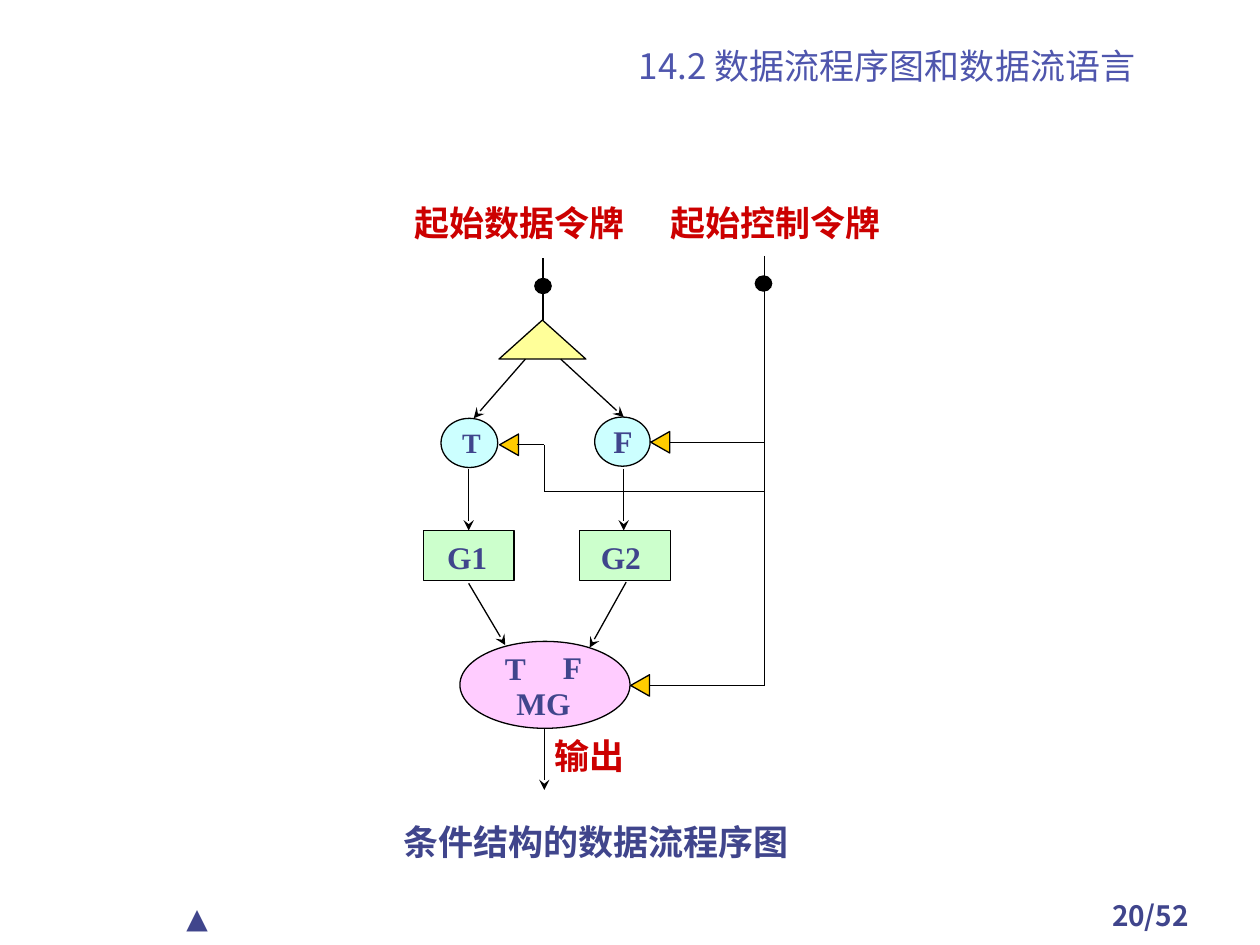
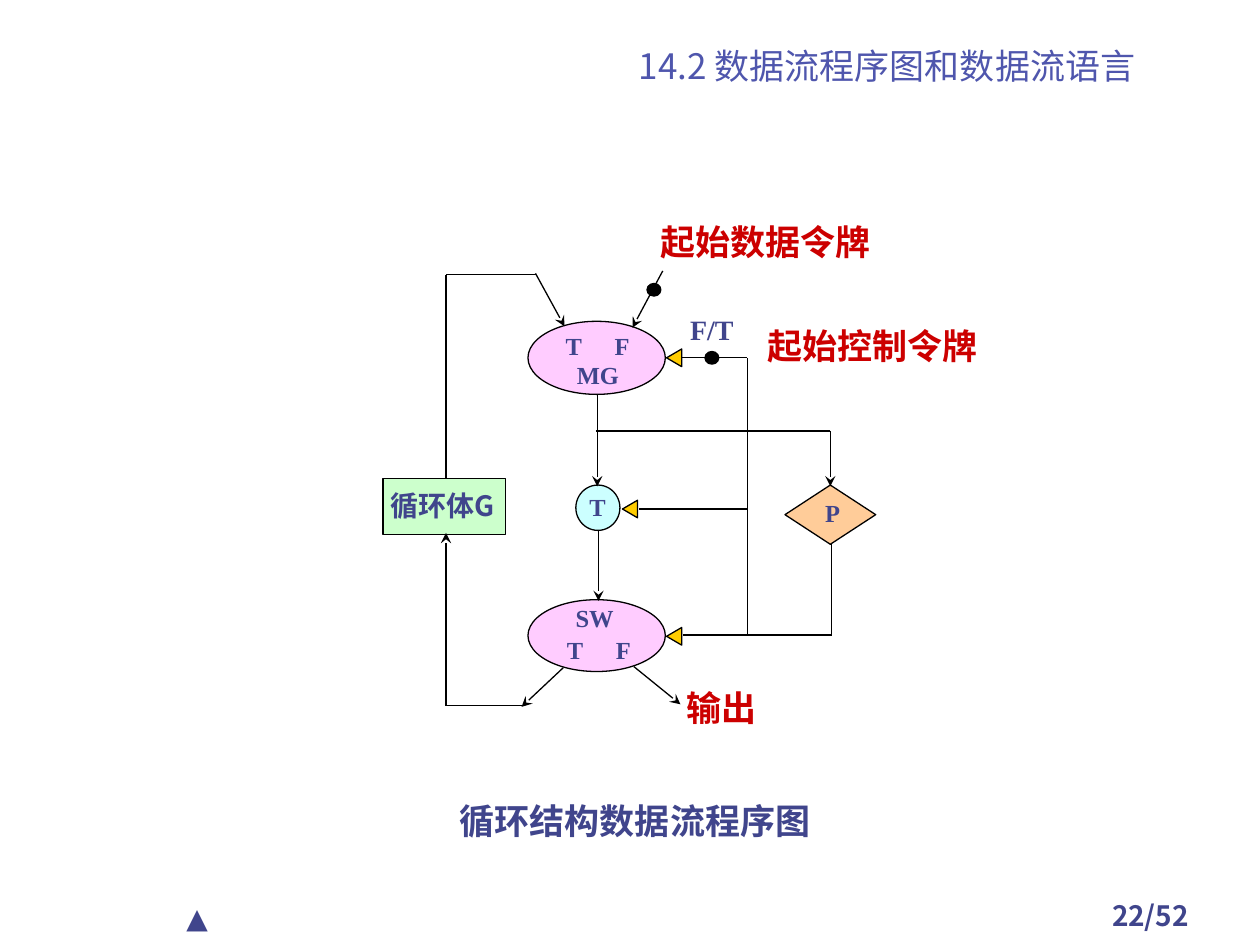
"""Builds two slides of data-flow program graphs."""
from dataclasses import dataclass
from itertools import pairwise

from lxml import etree
from pptx import Presentation
from pptx import util as u
from pptx.dml.color import RGBColor
from pptx.enum import shapes, text
from pptx.oxml import ns

INK, TITLE_INK, RED, BLACK = "40458C", "4F56AD", "CC0000", "000000"
CYAN, GREEN, PINK, ORANGE = "CCFFFF", "CCFFCC", "FFCCFF", "FFCC99"
PALE_YELLOW, GOLD = "FFFF99", "FFCC00"
SERIF, SANS, CABIN = "Times New Roman", "Noto Sans CJK SC", "Cabin"
TITLE = "14.2 数据流程序图和数据流语言"
PAGE_COUNT = 52
PRESET = shapes.MSO_SHAPE
CENTER = text.PP_ALIGN.CENTER

Point = tuple[float, float]


@dataclass(frozen=True)
class Node:
    kind: int
    left: float
    top: float
    width: float
    height: float
    fill: str
    rotation: float = 0


@dataclass(frozen=True)
class Wire:
    points: tuple[Point, ...]
    arrow: bool = False


@dataclass(frozen=True)
class Label:
    words: str
    left: float
    top: float
    width: float = 0.8
    height: float = 0.5
    size: float = 18
    color: str = INK
    font: str = SERIF
    bold: bool = True
    align: int = text.PP_ALIGN.LEFT


@dataclass(frozen=True)
class Diagram:
    number: int
    gate_size: Point
    dot_size: Point
    nodes: tuple[Node, ...]
    gates: tuple[Point, ...]
    dots: tuple[Point, ...]
    wires: tuple[Wire, ...]
    labels: tuple[Label, ...]


def wire(*points: Point) -> Wire:
    return Wire(points)


def arrow(*points: Point) -> Wire:
    return Wire(points, True)


def token(words: str, left: float, top: float) -> Label:
    return Label(words, left, top, width=2.1, size=20, color=RED)


def caption(words: str, left: float, top: float, width: float) -> Label:
    return Label(words, left, top, width, size=20, font=CABIN, align=CENTER)


CONDITIONAL = Diagram(
    number=20,
    gate_size=(0.17, 0.15),
    dot_size=(0.13, 0.12),
    nodes=(
        Node(PRESET.OVAL, 4.72, 3.31, 0.44, 0.39, CYAN),
        Node(PRESET.OVAL, 3.5, 3.32, 0.45, 0.39, CYAN),
        Node(PRESET.RECTANGLE, 3.36, 4.21, 0.72, 0.4, GREEN),
        Node(PRESET.RECTANGLE, 4.6, 4.21, 0.72, 0.4, GREEN),
        Node(PRESET.OVAL, 3.65, 5.09, 1.35, 0.69, PINK),
        Node(PRESET.ISOSCELES_TRIANGLE, 3.96, 2.54, 0.69, 0.31, PALE_YELLOW),
    ),
    gates=((4.04, 3.53), (5.24, 3.51), (5.08, 5.44)),
    dots=((4.31, 2.27), (6.06, 2.25)),
    wires=(
        wire((4.31, 2.05), (4.31, 2.54)),
        arrow((4.17, 2.85), (3.76, 3.32)),
        arrow((4.45, 2.85), (4.95, 3.31)),
        arrow((3.72, 3.72), (3.72, 4.21)),
        arrow((4.95, 3.72), (4.95, 4.21)),
        arrow((3.72, 4.63), (4.01, 5.12)),
        arrow((4.97, 4.62), (4.68, 5.14)),
        arrow((4.32, 5.78), (4.32, 6.27)),
        wire((6.07, 2.03), (6.07, 5.44), (5.16, 5.44)),
        wire((4.1, 3.53), (4.32, 3.53), (4.32, 3.9), (6.07, 3.9)),
        wire((5.32, 3.51), (6.07, 3.51)),
    ),
    labels=(
        token("起始数据令牌", 3.19, 1.55),
        token("起始控制令牌", 5.22, 1.55),
        token("输出", 4.3, 5.78),
        Label("T", 3.57, 3.33, size=16),
        Label("F", 4.77, 3.3),
        Label("G1", 3.45, 4.22),
        Label("G2", 4.67, 4.22),
        Label("T", 3.91, 5.1),
        Label("F", 4.37, 5.09),
        Label("MG", 4, 5.38),
        caption("条件结构的数据流程序图", 1.74, 6.46, 5.98),
    ),
)

LOOP = Diagram(
    number=22,
    gate_size=(0.14, 0.12),
    dot_size=(0.11, 0.1),
    nodes=(
        Node(PRESET.OVAL, 4.57, 3.85, 0.35, 0.36, CYAN),
        Node(PRESET.OVAL, 4.19, 4.76, 1.09, 0.57, PINK),
        Node(PRESET.OVAL, 4.19, 2.55, 1.09, 0.58, PINK),
        Node(PRESET.RECTANGLE, 3.04, 3.8, 0.97, 0.44, GREEN),
        Node(PRESET.DIAMOND, 6.23, 3.85, 0.72, 0.47, ORANGE),
    ),
    gates=((5, 4.04), (5.35, 2.84), (5.35, 5.05)),
    dots=((5.19, 2.3), (5.65, 2.84)),
    wires=(
        arrow((5.26, 2.15), (5.02, 2.6)),
        wire((3.54, 3.79), (3.54, 2.18), (4.25, 2.18)),
        arrow((4.25, 2.17), (4.48, 2.59)),
        arrow((4.74, 3.13), (4.74, 3.86)),
        arrow((4.75, 4.21), (4.75, 4.77)),
        arrow((4.47, 5.3), (4.14, 5.61)),
        arrow((5.03, 5.29), (5.4, 5.59)),
        wire((4.17, 5.6), (3.54, 5.6)),
        arrow((3.54, 5.6), (3.54, 4.23)),
        wire((4.73, 3.42), (6.59, 3.42)),
        arrow((6.59, 3.42), (6.59, 3.86)),
        wire((6.6, 4.31), (6.6, 5.04), (5.42, 5.04)),
        wire((5.41, 2.84), (5.93, 2.84), (5.93, 5.04)),
        wire((5.07, 4.04), (5.93, 4.04)),
    ),
    labels=(
        token("起始数据令牌", 5.14, 1.7),
        token("起始控制令牌", 5.99, 2.53),
        token("输出", 5.35, 5.4),
        Label("F/T", 5.38, 2.43, size=16),
        Label("循环体G", 3, 3.83, 1.2, size=16, font=SANS),
        Label("T", 4.39, 2.58, size=14),
        Label("F", 4.78, 2.58, size=14),
        Label("MG", 4.48, 2.81, size=14),
        Label("T", 4.58, 3.86, size=14),
        Label("P", 6.45, 3.9, size=14),
        Label("SW", 4.47, 4.74, size=14),
        Label("T", 4.4, 4.99, size=14),
        Label("F", 4.79, 4.99, size=14),
        caption("循环结构数据流程序图", 1.18, 6.3, 7.72),
    ),
)


def rgb(code: str) -> RGBColor:
    return RGBColor.from_string(code)


def assign(target, values: dict) -> None:
    for name, value in values.items():
        setattr(target, name, value)


def write(frame, label: Label) -> None:
    para = frame.paragraphs[0]
    para.alignment = label.align
    span = para.add_run()
    span.text = label.words
    assign(span.font, {"size": u.Pt(label.size), "bold": label.bold, "name": label.font})
    span.font.color.rgb = rgb(label.color)
    east_asian = etree.SubElement(span.font._element, ns.qn("a:ea"))
    east_asian.set("typeface", SANS)


def place_label(page, label: Label) -> None:
    box = page.shapes.add_textbox(
        *map(u.Inches, (label.left, label.top, label.width, label.height))
    )
    box.text_frame.word_wrap = True
    write(box.text_frame, label)


def place_node(page, node: Node) -> None:
    shape = page.shapes.add_shape(
        node.kind, *map(u.Inches, (node.left, node.top, node.width, node.height))
    )
    shape.rotation = node.rotation
    shape.shadow.inherit = False
    shape.fill.solid()
    shape.fill.fore_color.rgb = rgb(node.fill)
    shape.line.color.rgb = rgb(BLACK)
    shape.line.width = u.Pt(0.75)


def centered(kind: int, center: Point, size: Point, fill: str, rotation: float = 0) -> Node:
    (x, y), (width, height) = center, size
    return Node(kind, x - width / 2, y - height / 2, width, height, fill, rotation)


def place_wire(page, route: Wire) -> None:
    for start, end in pairwise(route.points):
        line = page.shapes.add_connector(
            shapes.MSO_CONNECTOR.STRAIGHT, *map(u.Inches, (*start, *end))
        )
        line.line.color.rgb = rgb(BLACK)
        line.line.width = u.Pt(0.75)
        properties = line._element.spPr
        if route.arrow:
            head = etree.SubElement(properties.find(ns.qn("a:ln")), ns.qn("a:tailEnd"))
            head.set("type", "stealth")
        etree.SubElement(properties, ns.qn("a:effectLst"))


def place_title(page) -> None:
    title = page.shapes.title
    place = {"left": 4.25, "top": 0.27, "width": 5.58, "height": 0.42}
    assign(title, {name: u.Inches(value) for name, value in place.items()})
    assign(title.text_frame, {
        "margin_left": 0, "margin_right": 0, "margin_top": 0, "margin_bottom": 0,
        "word_wrap": True, "auto_size": text.MSO_AUTO_SIZE.NONE,
        "vertical_anchor": text.MSO_ANCHOR.BOTTOM,
    })
    write(title.text_frame, Label(
        TITLE, **place, size=20, color=TITLE_INK, font=SANS, bold=False, align=CENTER
    ))


def place_footer(page, number: int) -> None:
    place_label(page, Label(
        f"{number}/{PAGE_COUNT}", 8.42, 7.08, 1.42, 0.33, 16, font=SANS, align=CENTER
    ))
    place_label(page, Label("▲", 1.38, 7.1, 1.42, 0.37, 16, font=CABIN, bold=False))


def build_page(deck, diagram: Diagram) -> None:
    page = deck.slides.add_slide(deck.slide_layouts[5])
    place_title(page)
    place_footer(page, diagram.number)
    gates = [centered(PRESET.ISOSCELES_TRIANGLE, center, diagram.gate_size, GOLD, 270)
             for center in diagram.gates]
    dots = [centered(PRESET.OVAL, center, diagram.dot_size, BLACK)
            for center in diagram.dots]
    for node in (*diagram.nodes, *gates, *dots):
        place_node(page, node)
    for route in diagram.wires:
        place_wire(page, route)
    for label in diagram.labels:
        place_label(page, label)


def main() -> None:
    deck = Presentation()
    deck.slide_width, deck.slide_height = u.Inches(10), u.Inches(7.5)
    for diagram in (CONDITIONAL, LOOP):
        build_page(deck, diagram)
    deck.save("out.pptx")


if __name__ == "__main__":
    main()
